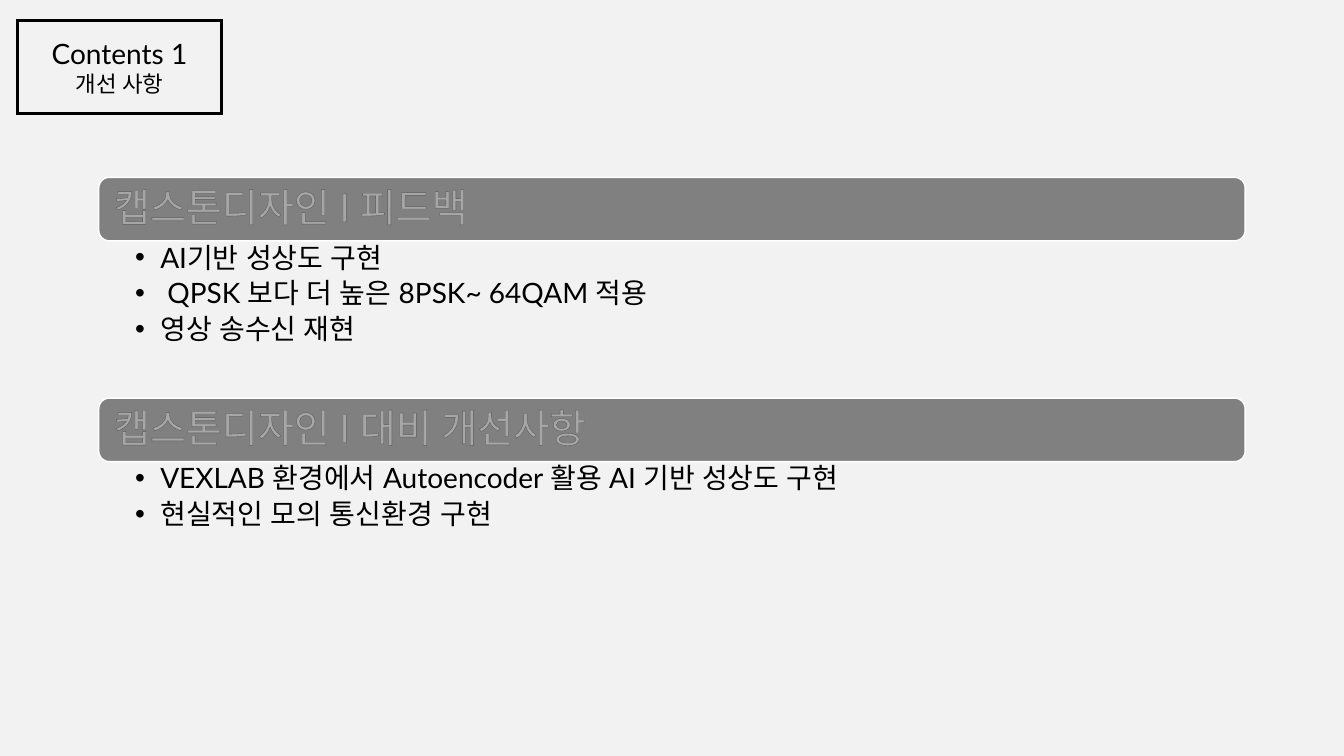
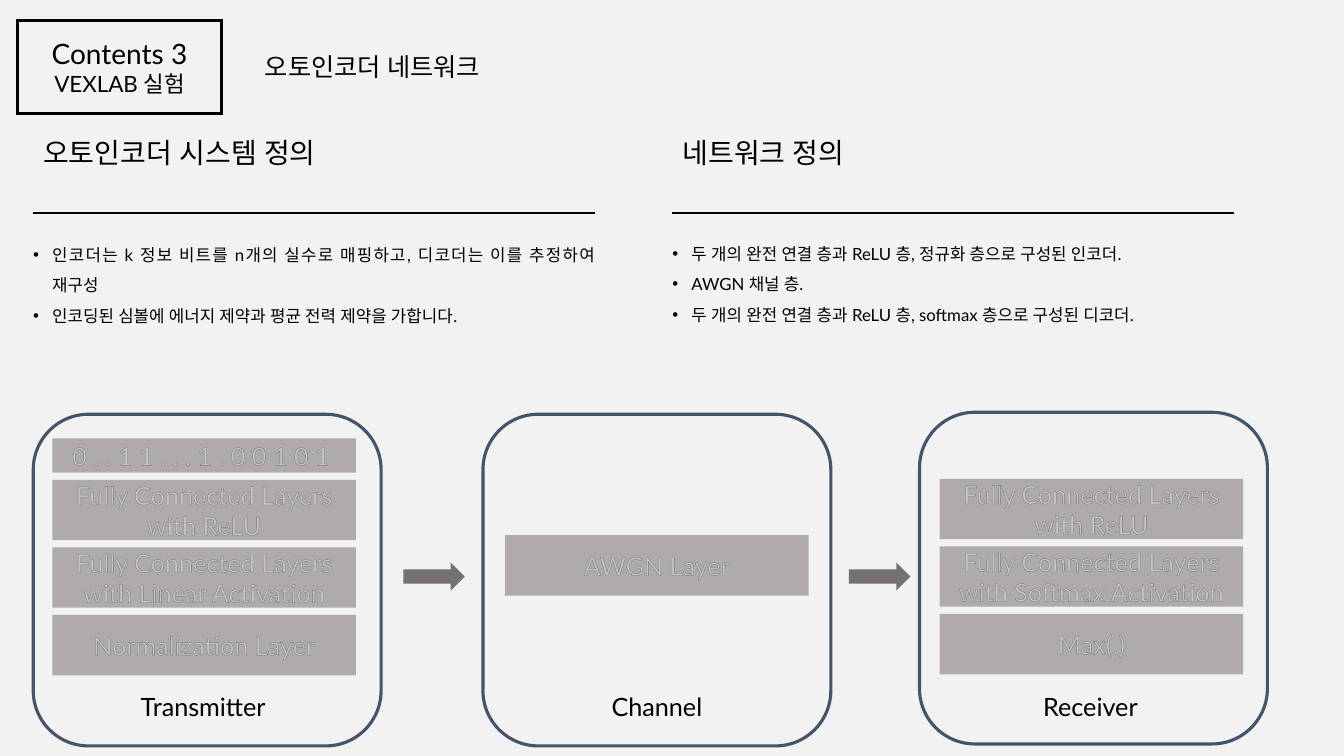
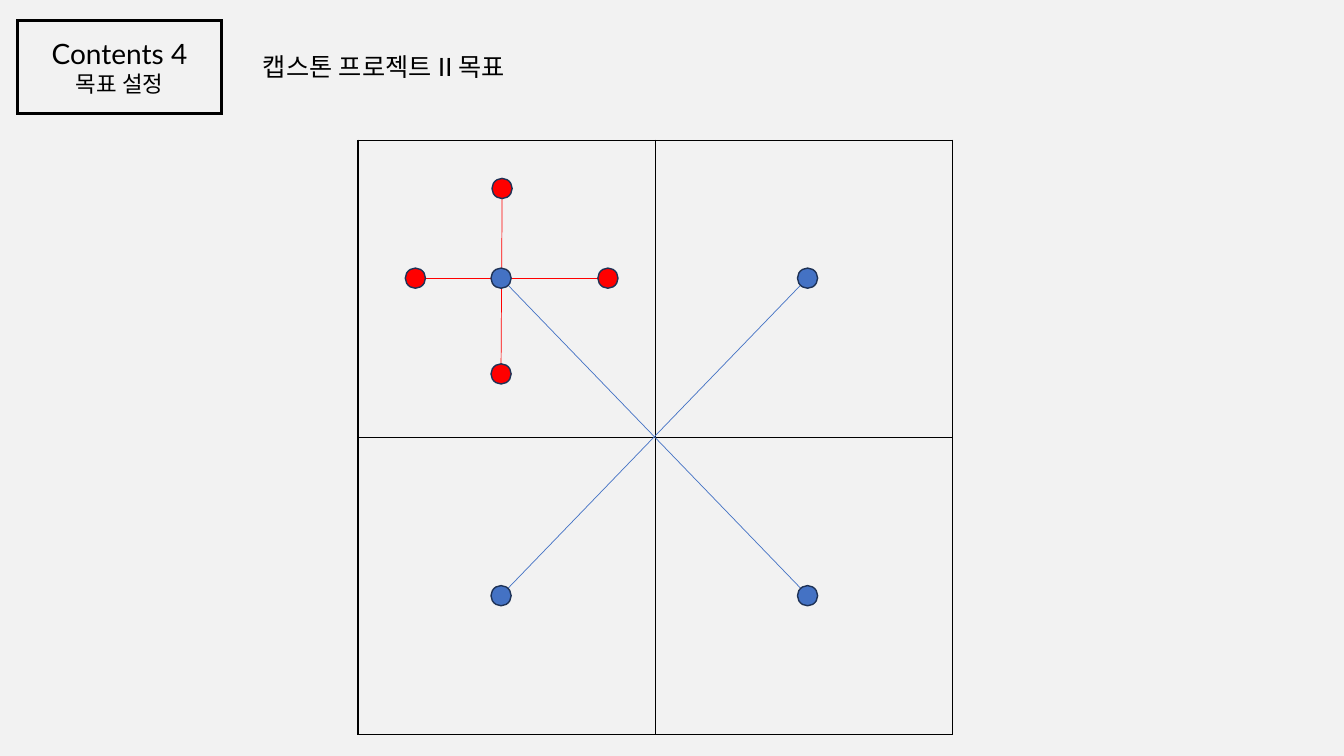
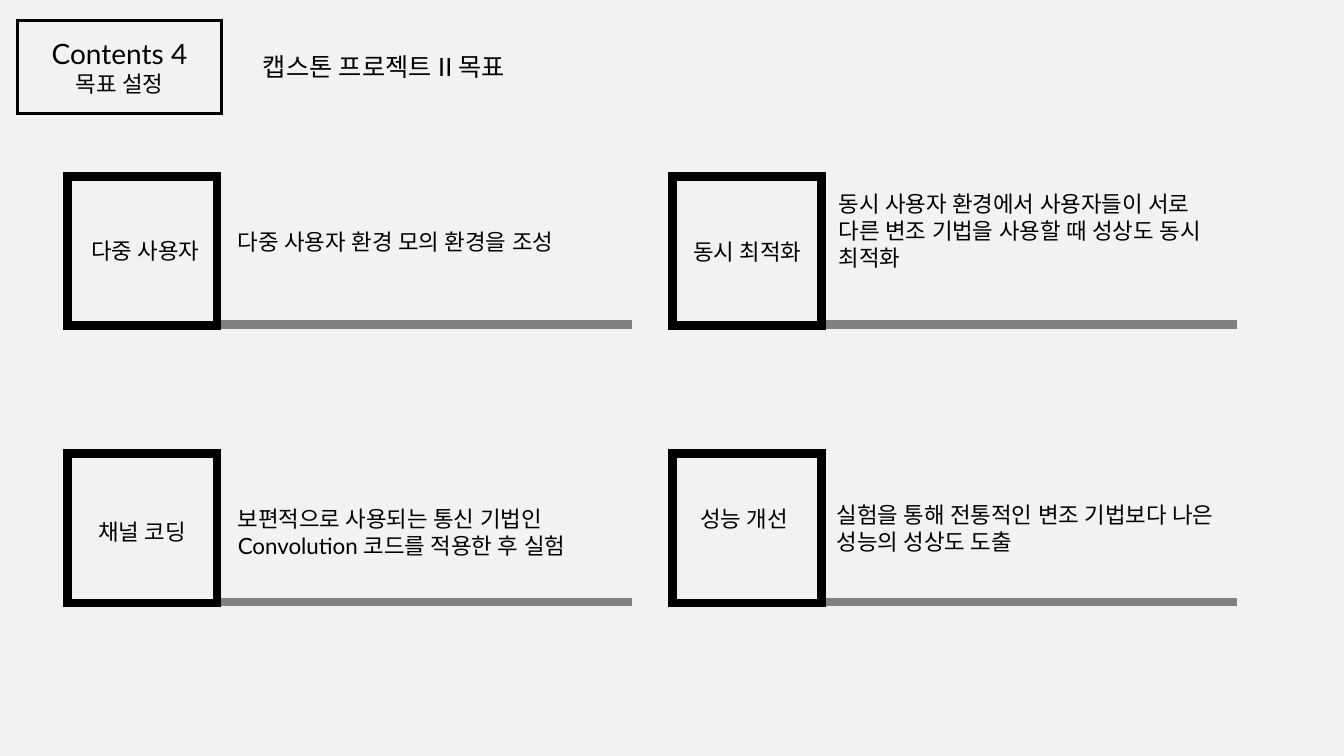
from lxml import etree
from pptx import Presentation
from pptx import util as u
from pptx.dml.color import RGBColor
from pptx.enum import shapes, text
from pptx.oxml.ns import qn

SCALE = 9144  # EMU in one px, 100 px to the inch

BLACK = RGBColor(0x00, 0x00, 0x00)
WHITE = RGBColor(0xFF, 0xFF, 0xFF)
PAPER = RGBColor(0xF2, 0xF2, 0xF2)
GRAY = RGBColor(0x80, 0x80, 0x80)
LAYER = RGBColor(0xAF, 0xAB, 0xAB)
ARROW = RGBColor(0x76, 0x71, 0x71)
SLATE = RGBColor(0x44, 0x54, 0x6A)
BLUE = RGBColor(0x44, 0x72, 0xC4)
NAVY = RGBColor(0x1E, 0x32, 0x56)
RED = RGBColor(0xFF, 0x00, 0x00)

BODY = "Lato"
HEAD = "Roboto"
KIND = shapes.MSO_SHAPE
ALIGN = text.PP_ALIGN
GOAL = "캡스톤 프로젝트 II 목표"


def px(*lengths):
    return [u.Emu(n * SCALE) for n in lengths]


def solid_line(parent, tag, width, color, alpha=100):
    """Append an a:ln-like element with a solid colour; width in points."""
    ln = etree.SubElement(parent, qn(tag), w=str(int(width * 12700)))
    fill = etree.SubElement(ln, qn("a:solidFill"))
    clr = etree.SubElement(fill, qn("a:srgbClr"), val=str(color))
    if alpha < 100:
        etree.SubElement(clr, qn("a:alpha"), val=str(alpha * 1000))
    return ln


def add_run(p, words, size, color=BLACK, font=BODY):
    """Add a run with the faint outline that all text here has."""
    r = p.add_run()
    r.text = words
    r.font.size = u.Pt(size)
    r.font.name = font
    r.font.color.rgb = color
    rpr = r.font._element
    rpr.insert(0, solid_line(rpr, "a:ln", 0.75, BLACK, alpha=30))
    ea = etree.Element(qn("a:ea"), typeface=font)
    rpr.find(qn("a:latin")).addnext(ea)


def paragraphs(tf, count):
    return [tf.paragraphs[0]] + [tf.add_paragraph() for _ in range(count - 1)]


def add_bullet(p, indent):
    ppr = p._p.get_or_add_pPr()
    left = indent * SCALE
    ppr.set("marL", str(left))
    ppr.set("indent", str(-left))
    etree.SubElement(ppr, qn("a:buFont"), typeface="Arial")
    etree.SubElement(ppr, qn("a:buChar"), char="•")


def add_text(s, x, y, w, h, words, size, font=BODY, align=ALIGN.LEFT):
    tf = s.shapes.add_textbox(*px(x, y, w, h)).text_frame
    tf.word_wrap = True
    p = tf.paragraphs[0]
    p.alignment = align
    add_run(p, words, size, font=font)


def add_bullets(s, x, y, w, h, lines, size, indent, spacing,
                after=0, left=10, top=5, align=ALIGN.LEFT):
    tf = s.shapes.add_textbox(*px(x, y, w, h)).text_frame
    tf.word_wrap = True
    tf.margin_left, tf.margin_top = px(left, top)
    for p, words in zip(paragraphs(tf, len(lines)), lines):
        p.alignment = align
        p.line_spacing = spacing
        p.space_after = u.Pt(after)
        add_bullet(p, indent)
        add_run(p, words, size)


def add_box(s, kind, x, y, w, h, fill=None, line=None, width=1):
    """Add a shape with sharp line corners and text in its middle."""
    sp = s.shapes.add_shape(kind, *px(x, y, w, h))
    sp.shadow.inherit = False
    if fill is None:
        sp.fill.background()
    else:
        sp.fill.solid()
        sp.fill.fore_color.rgb = fill
    if line is None:
        sp.line.fill.background()
    else:
        sp.line.color.rgb = line
        sp.line.width = u.Pt(width)
        ln = sp._element.spPr.find(qn("a:ln"))
        etree.SubElement(ln, qn("a:miter"), lim="800000")
    sp.text_frame.vertical_anchor = text.MSO_ANCHOR.MIDDLE
    return sp


def add_line(s, x1, y1, x2, y2, color, width):
    ln = s.shapes.add_connector(shapes.MSO_CONNECTOR.STRAIGHT, *px(x1, y1, x2, y2))
    ln.line.color.rgb = color
    ln.line.width = u.Pt(width)
    etree.SubElement(ln._element.spPr, qn("a:effectLst"))


def add_page(prs, number, section):
    """Add a slide with the framed section badge at its top left."""
    s = prs.slides.add_slide(prs.slide_layouts[6])
    tf = add_box(s, KIND.RECTANGLE, 17, 20, 203, 93, line=BLACK, width=2).text_frame
    badge = [(f"Contents {number}", 20), (section, 16)]
    for p, (words, size) in zip(paragraphs(tf, 2), badge):
        p.alignment = ALIGN.CENTER
        add_run(p, words, size)
    return s


def add_topic(s, y, title, lines):
    bar = add_box(s, KIND.ROUNDED_RECTANGLE, 98, y, 1137, 63, fill=GRAY, line=WHITE)
    tf = bar.text_frame
    tf.margin_left, = px(12)
    p = tf.paragraphs[0]
    p.alignment = ALIGN.LEFT
    p.line_spacing = 0.9
    add_run(p, title, 28, WHITE, HEAD)
    add_bullets(s, 98, y + 63, 1137, 40 * len(lines), lines, 20, 25, 0.9,
                after=4, left=36, top=3)


def add_definition(s, x, title, lines, list_y):
    add_text(s, x, 130, 416, 44, title, 20, font=HEAD)
    add_line(s, x, 211, x + 557, 211, BLACK, 1.25)
    add_bullets(s, x - 10, list_y, 577, 97, lines, 12, 19, 1.5, align=ALIGN.JUSTIFY)


def add_layer(s, x, y, h, lines):
    tf = add_box(s, KIND.RECTANGLE, x, y, 301, h, fill=LAYER).text_frame
    p = tf.paragraphs[0]
    p.alignment = ALIGN.CENTER
    for i, words in enumerate(lines):
        if i:
            p.add_line_break()
        add_run(p, words, 18, WHITE)


def add_stage(s, x, y, name, name_x, layer_x, layer_y, layers):
    for i, lines in enumerate(layers):
        add_layer(s, layer_x, layer_y + 67 * i, 60, lines)
    add_box(s, KIND.ROUNDED_RECTANGLE, x, y, 345, 329, line=SLATE, width=2.25)
    add_text(s, name_x, 681, 275, 40, name, 18, align=ALIGN.CENTER)


def add_quadrants(s, x, y, side):
    table = s.shapes.add_table(2, 2, *px(x, y, 2 * side, 2 * side)).table
    table.first_row = table.horz_banding = False
    for band in table.rows:
        band.height, = px(side)
    for cell in table.iter_cells():
        tcpr = cell._tc.get_or_add_tcPr()
        for edge in "LRTB":
            solid_line(tcpr, f"a:ln{edge}", 1, BLACK)
        cell.fill.background()


def add_goal(s, x, y, label, label_at, words, words_at):
    """Add a framed label with a rule and text; the two places are from the frame."""
    add_line(s, x + 148, y + 147, x + 560, y + 147, GRAY, 6)
    add_box(s, KIND.RECTANGLE, x, y, 148, 148, line=BLACK, width=6)
    (dx, dy), (tx, ty) = label_at, words_at
    add_text(s, x + tx, y + ty, 401, 64, words, 16)
    add_text(s, x + dx, y + dy, 142, 37, label, 16, align=ALIGN.CENTER)


def build_improvements(prs):
    s = add_page(prs, 1, "개선 사항")
    add_topic(s, 176, "캡스톤디자인 I 피드백", [
        "AI기반 성상도 구현",
        " QPSK 보다 더 높은 8PSK~ 64QAM 적용",
        "영상 송수신 재현"])
    add_topic(s, 395, "캡스톤디자인 I 대비 개선사항", [
        "VEXLAB 환경에서 Autoencoder 활용 AI 기반 성상도 구현",
        "현실적인 모의 통신환경 구현"])


def build_network(prs):
    s = add_page(prs, 3, "VEXLAB 실험")
    add_text(s, 253, 46, 883, 40, "오토인코더 네트워크", 18)
    add_definition(s, 33, "오토인코더 시스템 정의", [
        "인코더는 k 정보 비트를 n개의 실수로 매핑하고, 디코더는 이를 추정하여 재구성",
        "인코딩된 심볼에 에너지 제약과 평균 전력 제약을 가합니다."], 228)
    add_definition(s, 667, "네트워크 정의", [
        "두 개의 완전 연결 층과 ReLU 층, 정규화 층으로 구성된 인코더.",
        "AWGN 채널 층.",
        "두 개의 완전 연결 층과 ReLU 층, softmax 층으로 구성된 디코더."], 227)

    dense = "Fully Connected Layers"
    relu = [dense, "with ReLU"]
    add_layer(s, 52, 435, 34, ["0 . . 1 1 . . . 1 . 0 0 1 0 1 "])
    add_stage(s, 33, 411, "Transmitter", 64, 52, 476,
              [relu, [dense, "with Linear Activation"], ["Normalization Layer"]])
    add_stage(s, 479, 411, "Channel", 514, 501, 531, [["AWGN Layer"]])
    add_stage(s, 912, 409, "Receiver", 944, 932, 475,
              [relu, [dense, "with Softmax Activation"], ["Max(.)"]])
    for x in (400, 842):
        add_box(s, KIND.RIGHT_ARROW, x, 558, 61, 28, fill=ARROW)


def build_constellation(prs):
    s = add_page(prs, 4, "목표 설정")
    add_quadrants(s, 355, 139, 295)
    add_text(s, 251, 46, 702, 40, GOAL, 18)
    add_line(s, 504, 283, 808, 598, BLUE, 0.5)
    add_line(s, 794, 283, 490, 598, BLUE, 0.5)
    add_line(s, 421, 276, 593, 276, RED, 0.5)
    add_line(s, 497, 361, 498, 197, RED, 0.5)
    symbols = {
        BLUE: [(487, 266), (791, 266), (487, 581), (791, 581)],
        RED: [(488, 177), (487, 361), (402, 266), (593, 266)],
    }
    for color, places in symbols.items():
        for x, y in places:
            add_box(s, KIND.OVAL, x, y, 20, 20, fill=color, line=NAVY)


def build_goals(prs):
    s = add_page(prs, 4, "목표 설정")
    add_text(s, 251, 46, 702, 40, GOAL, 18)
    left, right, upper, lower = 67, 667, 175, 450
    add_goal(s, left, upper, "다중 사용자", (6, 55),
             "다중 사용자 환경 모의 환경을 조성", (159, 46))
    add_goal(s, left, lower, "채널 코딩", (3, 59),
             "보편적으로 사용되는 통신 기법인 Convolution 코드를 적용한 후 실험", (159, 46))
    add_goal(s, right, upper, "동시 최적화", (3, 56),
             "동시 사용자 환경에서 사용자들이 서로 다른 변조 기법을 사용할 때 성상도 동시 최적화",
             (155, 9))
    add_goal(s, right, lower, "성능 개선", (0, 46),
             "실험을 통해 전통적인 변조 기법보다 나은 성능의 성상도 도출", (153, 42))


def main():
    prs = Presentation()
    prs.slide_width, prs.slide_height = px(1333, 750)
    paper = prs.slide_master.background.fill
    paper.solid()
    paper.fore_color.rgb = PAPER
    build_improvements(prs)
    build_network(prs)
    build_constellation(prs)
    build_goals(prs)
    prs.save("out.pptx")


if __name__ == "__main__":
    main()
